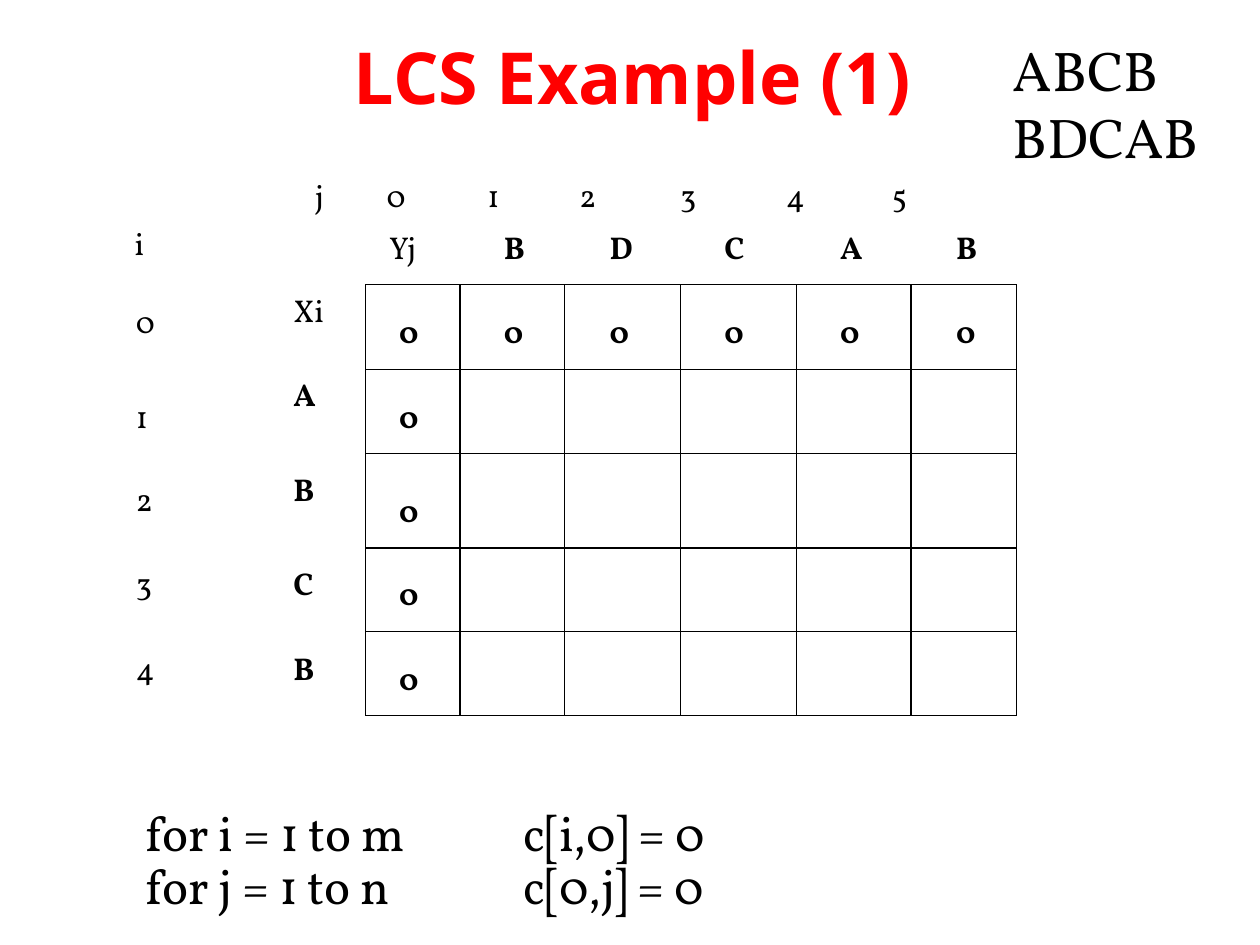
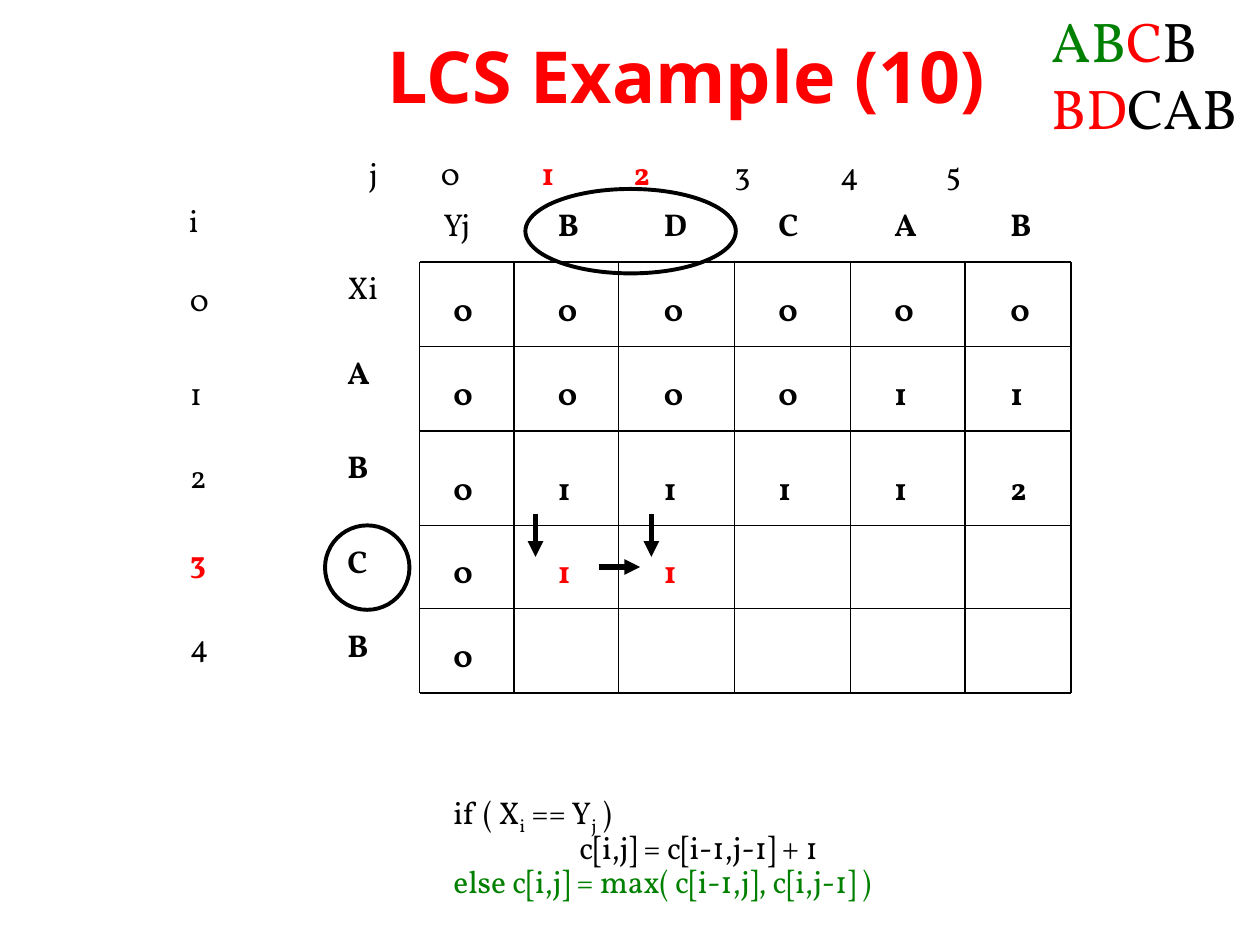
from lxml import etree
from pptx import Presentation
from pptx.dml.color import RGBColor
from pptx.enum.shapes import MSO_CONNECTOR, MSO_SHAPE
from pptx.enum.text import MSO_ANCHOR, MSO_AUTO_SIZE, PP_ALIGN
from pptx.oxml.ns import qn
from pptx.util import Inches, Pt

STRAIGHT = MSO_CONNECTOR.STRAIGHT
OVAL = MSO_SHAPE.OVAL
MIDDLE, TOP = MSO_ANCHOR.MIDDLE, MSO_ANCHOR.TOP
NO_AUTO_SIZE = MSO_AUTO_SIZE.NONE
LEFT, CENTER = PP_ALIGN.LEFT, PP_ALIGN.CENTER

BLACK = RGBColor(0x00, 0x00, 0x00)
RED = RGBColor(0xFF, 0x00, 0x00)
GREEN = RGBColor(0x00, 0x80, 0x00)
TITLE_FONT = "Noto Sans"
BODY_FONT = "Vollkorn"

COLUMN_LINES = [0, 0.75, 1.58, 2.5, 3.42, 4.33, 5.17]
ROW_LINES = [0, 0.67, 1.34, 2.09, 2.75, 3.42]
CELL_LEFTS = [0.17, 1, 1.84, 2.75, 3.67, 4.59]
CELL_TOPS = [0.17, 0.84, 1.59, 2.25, 2.92]
ROW_LABEL_TOPS = [0, 0.67, 1.42, 2.17, 2.84]
ROW_INDEX_TOPS = [0.09, 0.84, 1.5, 2.17, 2.84]
COLUMN_INDEX_TABS = [0.57, 1.37, 2.1, 2.9, 3.74, 4.58]
COLUMN_LABEL_LEFTS = [0.09] + CELL_LEFTS[1:]

COLUMN_LABELS = ["Yj", "B", "D", "C", "A", "B"]
ROW_LABELS = ["Xi", "A", "B", "C", "B"]

EXAMPLES = [
    {
        "title": "LCS Example (1)",
        "title_box": (0.48, 0.1, 9.08, 1),
        "grid_origin": (2.9, 2.26),
        "values": ["000000", "0", "0", "0", "0"],
        "active_row": None,
        "active_columns": (),
        "new_cells": (),
        "strings_box": (7.94, 0.23, 1.75, 1.17),
        "strings": [[("ABCB", {})], [("BDCAB", {})]],
        "code_box": (1.06, 6.37, 5.2, 1.03),
        "code_size": 28,
        "code_tabs": [3],
        "code_indents": [0, 0],
        "code": [
            [("for i = 1 to m\tc[i,0] = 0", {})],
            [("for j = 1 to n\tc[0,j] = 0", {})],
        ],
        "ovals": [],
        "arrows": [],
    },
    {
        "title": "LCS Example (10)",
        "title_box": (0.91, 0.09, 9.08, 1),
        "grid_origin": (3.33, 2.08),
        "values": ["000000", "000011", "011112", "011", "0"],
        "active_row": 3,
        "active_columns": (1, 2),
        "new_cells": ((3, 1), (3, 2)),
        "strings_box": (8.25, 0, 1.75, 1.17),
        "strings": [
            [("AB", {"color": GREEN}), ("C", {"color": RED}), ("B", {})],
            [("BD", {"color": RED}), ("CAB", {})],
        ],
        "code_box": (1.5, 6.25, 6.75, 1.2),
        "code_size": 18,
        "code_tabs": [],
        "code_indents": [2, 3, 2],
        "code": [
            [("if ( X", {}), ("i", {"subscript": True}), (" == Y", {}),
             ("j", {"subscript": True}), (" )", {})],
            [("c[i,j] = c[i-1,j-1] + 1", {})],
            [("else c[i,j] = max( c[i-1,j], c[i,j-1] )", {"color": GREEN})],
        ],
        "ovals": [(2.58, 4.17, 0.67, 0.67), (4.17, 1.5, 1.67, 0.67)],
        "arrows": [(4.25, 4.08, 4.25, 4.42), (5.17, 4.08, 5.17, 4.42), (4.75, 4.5, 5.08, 4.5)],
    },
]


def write_text(shape, text, size=18, font=BODY_FONT, color=BLACK, bold=False, align=LEFT,
               anchor=TOP, line_spacing=None, tabs=(), indents=()):
    frame = shape.text_frame
    frame.word_wrap = True
    frame.auto_size = NO_AUTO_SIZE
    frame.vertical_anchor = anchor
    lines = [[(text, {})]] if isinstance(text, str) else text
    for number, line in enumerate(lines):
        paragraph = frame.add_paragraph() if number else frame.paragraphs[0]
        paragraph.alignment = align
        if line_spacing:
            paragraph.line_spacing = line_spacing
        properties = paragraph._p.get_or_add_pPr()
        if indents:
            properties.set("marL", str(Inches(indents[number])))
        if tabs:
            tab_list = etree.SubElement(properties, qn("a:tabLst"))
            for position in tabs:
                etree.SubElement(tab_list, qn("a:tab"), pos=str(Inches(position)), algn="l")
        for words, style in line:
            run = paragraph.add_run()
            run.text = words
            run.font.name = font
            run.font.size = Pt(size)
            run.font.bold = style.get("bold", bold)
            run.font.color.rgb = style.get("color", color)
            if style.get("subscript"):
                run._r.get_or_add_rPr().set("baseline", "-25000")


def add_text(slide, box, text, **text_format):
    shape = slide.shapes.add_textbox(*map(Inches, box))
    write_text(shape, text, **text_format)


def add_line(slide, ends, width=0.75, arrow=False):
    connector = slide.shapes.add_connector(STRAIGHT, *map(Inches, ends))
    connector.line.color.rgb = BLACK
    connector.line.width = Pt(width)
    if arrow:
        etree.SubElement(connector.line._get_or_add_ln(), qn("a:tailEnd"), type="triangle")
    etree.SubElement(connector._element.spPr, qn("a:effectLst"))


def add_oval(slide, box):
    oval = slide.shapes.add_shape(OVAL, *map(Inches, box))
    oval.shadow.inherit = False
    oval.fill.background()
    oval.line.color.rgb = BLACK
    oval.line.width = Pt(2.25)


def highlight(active):
    return {"color": RED, "bold": True} if active else {}


def add_grid(slide, example):
    left, top = example["grid_origin"]
    right, bottom = left + COLUMN_LINES[-1], top + ROW_LINES[-1]
    for offset in COLUMN_LINES:
        add_line(slide, (left + offset, top, left + offset, bottom))
    for offset in ROW_LINES:
        add_line(slide, (left, top + offset, right, top + offset))

    column_indices = [("j", {})]
    for column in range(len(COLUMN_LABELS)):
        column_indices.append((f"\t{column}", highlight(column in example["active_columns"])))
    add_text(slide, (left - 0.5, top - 0.91, 5.54, 0.4), [column_indices], tabs=COLUMN_INDEX_TABS)
    add_text(slide, (left - 1.93, top - 0.53, 0.29, 0.5), "i")

    for column, (label, offset) in enumerate(zip(COLUMN_LABELS, COLUMN_LABEL_LEFTS)):
        add_text(slide, (left + offset, top - 0.5, 0.53, 0.5), label, bold=column > 0)
    for row, label in enumerate(ROW_LABELS):
        add_text(slide, (left - 1.92, top + ROW_INDEX_TOPS[row], 0.37, 0.5), str(row),
                 **highlight(row == example["active_row"]))
        add_text(slide, (left - 0.67, top + ROW_LABEL_TOPS[row], 0.53, 0.5), label, bold=row > 0)

    for row, values in enumerate(example["values"]):
        for column, value in enumerate(values):
            add_text(slide, (left + CELL_LEFTS[column], top + CELL_TOPS[row], 0.37, 0.5), value,
                     bold=True, color=RED if (row, column) in example["new_cells"] else BLACK)


def add_example(presentation, example):
    slide = presentation.slides.add_slide(presentation.slide_layouts[5])
    title = slide.shapes.title
    title.left, title.top, title.width, title.height = map(Inches, example["title_box"])
    write_text(title, example["title"], size=41, font=TITLE_FONT, color=RED, bold=True,
               align=CENTER, anchor=MIDDLE)
    add_grid(slide, example)
    add_text(slide, example["code_box"], example["code"], size=example["code_size"],
             line_spacing=0.9, tabs=example["code_tabs"], indents=example["code_indents"])
    for box in example["ovals"]:
        add_oval(slide, box)
    for ends in example["arrows"]:
        add_line(slide, ends, width=3, arrow=True)
    add_text(slide, example["strings_box"], example["strings"], size=32)


def main():
    presentation = Presentation()
    presentation.slide_width = Inches(10)
    presentation.slide_height = Inches(7.5)
    for example in EXAMPLES:
        add_example(presentation, example)
    presentation.save("out.pptx")


if __name__ == "__main__":
    main()
